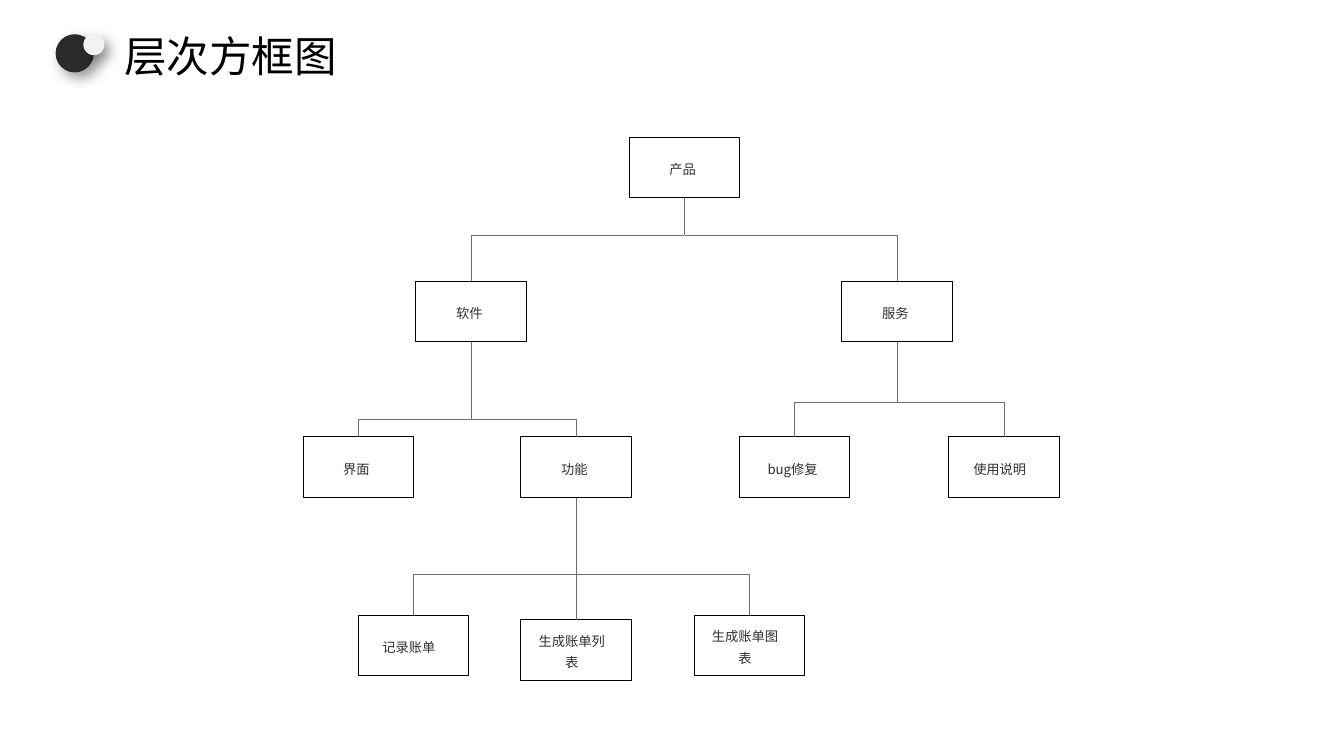
import pptx
import pptx.util
import pptx.dml.color
import pptx.enum.lang
import pptx.enum.shapes
import pptx.enum.text
import pptx.oxml.ns
import lxml.etree

Pt = pptx.util.Pt
RGBColor = pptx.dml.color.RGBColor
SHAPE = pptx.enum.shapes.MSO_SHAPE
STRAIGHT = pptx.enum.shapes.MSO_CONNECTOR.STRAIGHT
ALIGN = pptx.enum.text.PP_ALIGN
MIDDLE = pptx.enum.text.MSO_ANCHOR.MIDDLE
CHINESE = pptx.enum.lang.MSO_LANGUAGE_ID.SIMPLIFIED_CHINESE
qn = pptx.oxml.ns.qn

BLACK = RGBColor(0x00, 0x00, 0x00)
WHITE = RGBColor(0xFF, 0xFF, 0xFF)
TEXT = RGBColor(0x30, 0x30, 0x30)
LINE = RGBColor(0x6D, 0x6D, 0x6D)
DARK = RGBColor(0x2A, 0x2A, 0x2A)
LIGHT = RGBColor(0xF2, 0xF2, 0xF2)

# Content
TITLE = "层次方框图"
CJK, LATIN = "Calibri", "Noto Sans CJK SC"
# key: (centre x, top, text runs with their fonts)
BOXES = {
    "product": (515.6, 103.2, [("产品", CJK)]),
    "software": (355.1, 211.7, [("软件", CJK)]),
    "service": (675.9, 211.7, [("服务", CJK)]),
    "interface": (270, 329.2, [("界面", CJK)]),
    "function": (434.1, 329.2, [("功能", CJK)]),
    "bugfix": (598.5, 329.2, [("bug", LATIN), ("修复", CJK)]),
    "manual": (756.5, 329.2, [("使用说明", CJK)]),
    "record": (311.5, 463.5, [("记录账单", CJK)]),
    "list": (434.1, 466.7, [("生成账单列表", CJK)]),
    "chart": (564.6, 463.5, [("生成账单图表", CJK)]),
}
# parent, height of the branching line, side children, child straight below
BRANCHES = [
    ("product", 177.1, ["software", "service"], None),
    ("software", 316, ["interface", "function"], None),
    ("service", 303.4, ["bugfix", "manual"], None),
    ("function", 432.8, ["record", "chart"], "list"),
]
# left, top, diameter, colour
DOTS = [(41.9, 25.8, 28.8, DARK), (62.8, 25.8, 15.8, LIGHT)]
BOX_W, BOX_H = 83.5, 45.6


def add_run(p, text, font, size, color):
    r = p.add_run()
    r.text = text
    r.font.name = font
    r.font.size = Pt(size)
    r.font.color.rgb = color
    r.font.language_id = CHINESE


def add_dot(s, left, top, diameter, color):
    sp = s.shapes.add_shape(SHAPE.OVAL, Pt(left), Pt(top), Pt(diameter), Pt(diameter))
    sp.fill.solid()
    sp.fill.fore_color.rgb = color
    sp.line.fill.background()
    sp.shadow.inherit = False
    effects = sp._element.spPr.find(qn("a:effectLst"))
    shadow = lxml.etree.SubElement(
        effects, qn("a:outerShdw"), blurRad=str(Pt(10)), dist=str(Pt(6)),
        dir="2700000", algn="tl", rotWithShape="0")
    tint = lxml.etree.SubElement(shadow, qn("a:srgbClr"), val="000000")
    lxml.etree.SubElement(tint, qn("a:alpha"), val="40000")


def add_box(s, center, top, runs):
    sp = s.shapes.add_shape(SHAPE.RECTANGLE, Pt(center - BOX_W / 2), Pt(top),
                            Pt(BOX_W), Pt(BOX_H))
    sp.shadow.inherit = False
    sp.fill.solid()
    sp.fill.fore_color.rgb = WHITE
    sp.line.color.rgb = BLACK
    sp.line.width = Pt(0.75)
    tf = sp.text_frame
    tf.word_wrap = True
    tf.vertical_anchor = MIDDLE
    # Labels sit left of the centre, longer ones a little more
    tf.margin_left = Pt(12)
    tf.margin_right = Pt(19 if len(runs[-1][0]) > 2 else 15)
    tf.margin_top, tf.margin_bottom = 0, Pt(1.5)
    p = tf.paragraphs[0]
    p.alignment = ALIGN.CENTER
    p.line_spacing = Pt(16)
    for text, font in runs:
        add_run(p, text, font, 10, TEXT)
    return sp


def style_line(line):
    line.color.rgb = LINE
    line.width = Pt(0.75)


def join(s, x1, y1, x2, y2):
    c = s.shapes.add_connector(STRAIGHT, Pt(x1), Pt(y1), Pt(x2), Pt(y2))
    style_line(c.line)
    lxml.etree.SubElement(c._element.spPr, qn("a:effectLst"))
    return c


def add_elbow(s, x1, y1, x2, y2):
    builder = s.shapes.build_freeform(Pt(x1), Pt(y1))
    builder.add_line_segments([(Pt(x2), Pt(y1)), (Pt(x2), Pt(y2))], close=False)
    sp = builder.convert_to_shape()
    sp.fill.background()
    sp.shadow.inherit = False
    style_line(sp.line)


def main():
    prs = pptx.Presentation()
    prs.slide_width, prs.slide_height = Pt(1012.3), Pt(569.5)
    s = prs.slides.add_slide(prs.slide_layouts[5])

    # Title with its two dots
    title = s.shapes.title
    title.left, title.top, title.width, title.height = Pt(86), Pt(16.8), Pt(241), Pt(50)
    tf = title.text_frame
    tf.auto_size = pptx.enum.text.MSO_AUTO_SIZE.NONE
    tf.vertical_anchor = MIDDLE
    tf.margin_left = tf.margin_right = Pt(7.5)
    p = tf.paragraphs[0]
    p.alignment = ALIGN.LEFT
    add_run(p, TITLE, "Arial", 32, BLACK)
    for dot in DOTS:
        add_dot(s, *dot)

    # Boxes of the tree
    boxes = {key: add_box(s, *box) for key, box in BOXES.items()}

    # Trunk, elbows and straight line below each parent
    for parent, y, sides, below in BRANCHES:
        x, top, _ = BOXES[parent]
        bottom = top + BOX_H
        trunk = join(s, x, bottom, x, y)
        trunk.begin_connect(boxes[parent], 2)
        for child in sides:
            add_elbow(s, x, y, BOXES[child][0], BOXES[child][1])
        if below:
            drop = join(s, x, bottom, x, BOXES[below][1])
            drop.begin_connect(boxes[parent], 2)
            drop.end_connect(boxes[below], 0)

    prs.save("out.pptx")


if __name__ == "__main__":
    main()
